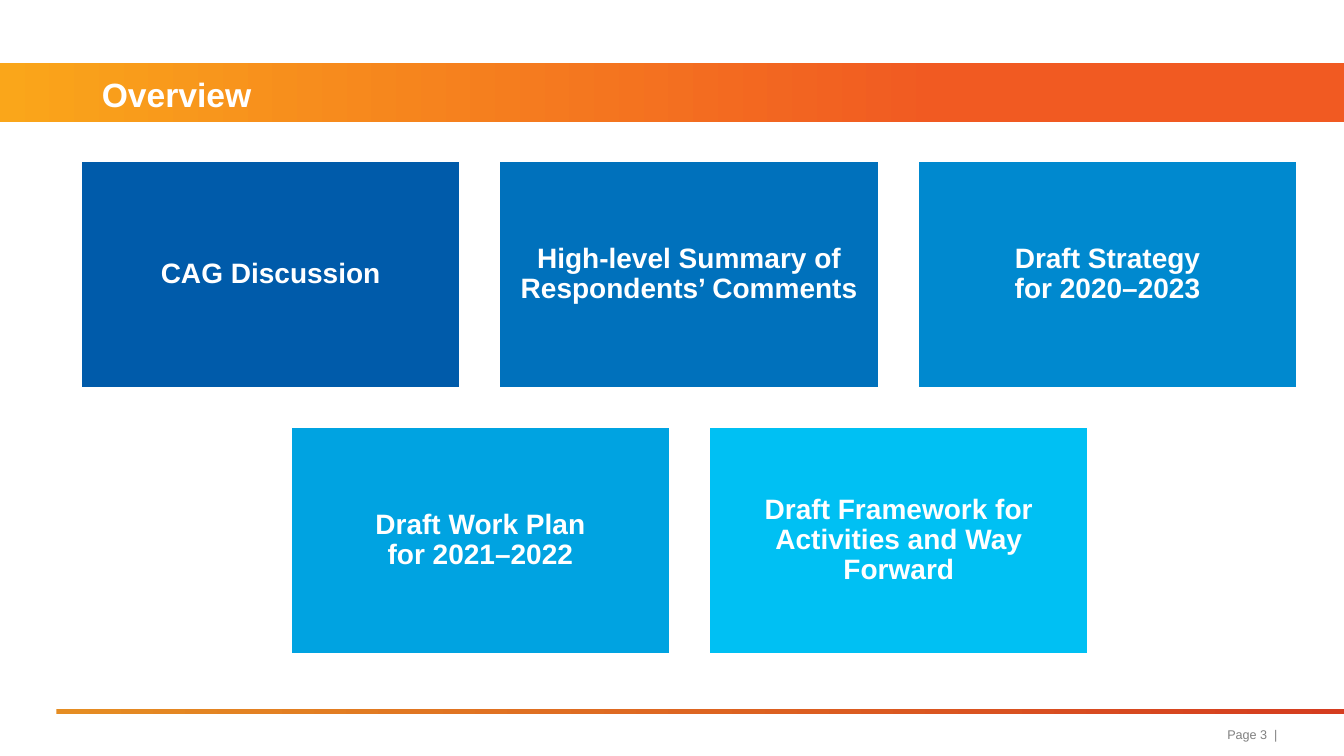
from pptx import Presentation
from pptx.dml.color import RGBColor
from pptx.enum.shapes import MSO_SHAPE
from pptx.enum.text import MSO_ANCHOR, PP_ALIGN
from pptx.util import Emu, Pt

EMU_PER_PX = 9144
SLIDE_WIDTH, SLIDE_HEIGHT = 1333, 750
TILE_WIDTH, TILE_HEIGHT, TILE_PITCH = 377, 226, 415

WHITE = RGBColor(0xFF, 0xFF, 0xFF)
GREY = RGBColor(0x80, 0x80, 0x80)
AMBER = RGBColor(0xFA, 0xA6, 0x1A)
ORANGE = RGBColor(0xF1, 0x5A, 0x22)
OCHRE = RGBColor(0xE5, 0x8D, 0x23)
RUST = RGBColor(0xD5, 0x3D, 0x20)
NAVY = RGBColor(0x00, 0x5B, 0xAA)
COBALT = RGBColor(0x00, 0x71, 0xBC)
AZURE = RGBColor(0x00, 0x89, 0xCF)
SKY = RGBColor(0x00, 0xA3, 0xE1)
CYAN = RGBColor(0x00, 0xC0, 0xF3)

TILE_ROWS = [
    (80, 159, [
        ("CAG Discussion", NAVY),
        ("High-level Summary of Respondents’ Comments", COBALT),
        ("Draft Strategy\nfor 2020–2023", AZURE),
    ]),
    (288, 423, [
        ("Draft Work Plan\nfor 2021–2022", SKY),
        ("Draft Framework for Activities and Way Forward", CYAN),
    ]),
]


def px(length):
    return Emu(length * EMU_PER_PX)


def add_rectangle(slide, left, top, width, height):
    rectangle = slide.shapes.add_shape(
        MSO_SHAPE.RECTANGLE, px(left), px(top), px(width), px(height))
    rectangle.shadow.inherit = False
    return rectangle


def add_gradient_band(slide, left, top, width, height, start, end, end_position):
    band = add_rectangle(slide, left, top, width, height)
    band.line.fill.background()
    band.fill.gradient()
    band.fill.gradient_angle = 0
    stops = band.fill.gradient_stops
    for stop, color, position in zip(stops, (start, end), (0, end_position)):
        stop.color.rgb = color
        stop.position = position


def write_text(frame, text, size, color, align, bold=False, inset=0):
    frame.word_wrap = True
    frame.vertical_anchor = MSO_ANCHOR.MIDDLE
    frame.margin_left = frame.margin_right = px(inset)
    frame.margin_top = frame.margin_bottom = px(inset)
    paragraph = frame.paragraphs[0]
    paragraph.alignment = align
    for index, line in enumerate(text.split("\n")):
        if index:
            paragraph.add_line_break()
        run = paragraph.add_run()
        run.text = line
        run.font.name = "Arial"
        run.font.size = Pt(size)
        run.font.bold = bold
        run.font.color.rgb = color
    return paragraph


def add_label(slide, left, top, width, height, text, size, color, align, bold=False):
    label = slide.shapes.add_textbox(px(left), px(top), px(width), px(height))
    return write_text(label.text_frame, text, size, color, align, bold)


def add_tile(slide, left, top, topic, color):
    tile = add_rectangle(slide, left, top, TILE_WIDTH, TILE_HEIGHT)
    tile.fill.solid()
    tile.fill.fore_color.rgb = color
    tile.line.color.rgb = WHITE
    tile.line.width = Pt(2)
    paragraph = write_text(
        tile.text_frame, topic, 20, WHITE, PP_ALIGN.CENTER, bold=True, inset=8)
    paragraph.line_spacing = 0.9


def main():
    presentation = Presentation()
    presentation.slide_width = px(SLIDE_WIDTH)
    presentation.slide_height = px(SLIDE_HEIGHT)
    slide = presentation.slides.add_slide(presentation.slide_layouts[6])

    add_gradient_band(slide, 0, 62, SLIDE_WIDTH, 59, AMBER, ORANGE, 0.7)
    add_gradient_band(slide, 56, 703, SLIDE_WIDTH - 56, 5, OCHRE, RUST, 1)
    title = add_label(
        slide, 101, 62, 1232, 59, "Overview", 24, WHITE, PP_ALIGN.LEFT, bold=True)
    title.line_spacing = Pt(32)

    for row_left, top, topics in TILE_ROWS:
        for column, (topic, color) in enumerate(topics):
            add_tile(slide, row_left + column * TILE_PITCH, top, topic, color)

    add_label(slide, 1039, 712, 228, 33, "Page 3  |", 9, GREY, PP_ALIGN.RIGHT)
    presentation.save("out.pptx")


if __name__ == "__main__":
    main()
